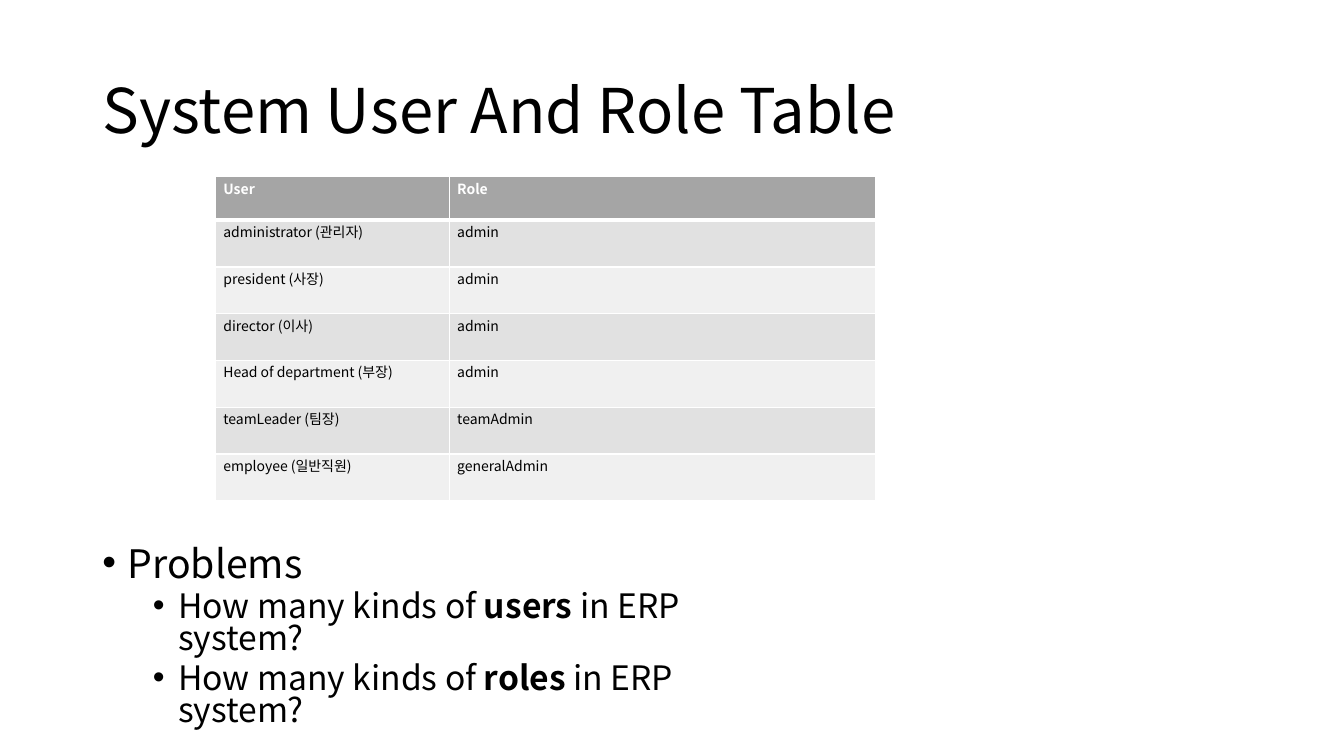
from lxml import etree
from pptx import Presentation
from pptx.dml.color import RGBColor
from pptx.enum.text import MSO_ANCHOR, MSO_AUTO_SIZE, PP_ALIGN
from pptx.oxml.ns import qn
from pptx.util import Pt

LEFT, JUSTIFY = PP_ALIGN.LEFT, PP_ALIGN.JUSTIFY
TOP, MIDDLE = MSO_ANCHOR.TOP, MSO_ANCHOR.MIDDLE
NO_FIT = MSO_AUTO_SIZE.NONE

FONT = "Noto Sans CJK KR"
COLORS = {"text": "000000", "white": "FFFFFF", "header": "A5A5A5",
          "odd": "E1E1E1", "even": "F0F0F0"}

ROLES = [
    ("User", "Role"),
    ("administrator (관리자)", "admin"),
    ("president (사장)", "admin"),
    ("director (이사)", "admin"),
    ("Head of department (부장)", "admin"),
    ("teamLeader (팀장)", "teamAdmin"),
    ("employee (일반직원)", "generalAdmin"),
]

# Each item: level, then spans of (text, bold)
PROBLEMS = [
    (0, [("Problems", False)]),
    (1, [("How many kinds of ", False), ("users", True), (" in ERP system?", False)]),
    (1, [("How many kinds of ", False), ("roles", True), (" in ERP system?", False)]),
]
# Per level: size, space before, left indent
LEVELS = [(28, 10, 18), (24, 5, 54)]


class SlideBuilder:
    def __init__(self, page):
        self.page = page

    def style(self, span, size, color="text", bold=False):
        span.font.size = Pt(size)
        span.font.bold = bold
        span.font.color.rgb = RGBColor.from_string(COLORS[color])
        span.font.name = FONT
        etree.SubElement(span.font._element, qn("a:ea"), typeface=FONT)

    def place(self, box, left, top, width, height, anchor):
        box.left, box.top, box.width, box.height = map(Pt, (left, top, width, height))
        frame = box.text_frame
        frame.word_wrap = True
        frame.auto_size = NO_FIT
        frame.vertical_anchor = anchor
        return frame

    def title(self, text, *bounds):
        frame = self.place(self.page.shapes.title, *bounds, MIDDLE)
        frame.text = text
        para = frame.paragraphs[0]
        para.alignment = LEFT
        para.line_spacing = 0.9
        self.style(para.runs[0], 44)

    def bullets(self, items, *bounds):
        frame = self.place(self.page.placeholders[1], *bounds, TOP)
        for index, (level, spans) in enumerate(items):
            para = frame.paragraphs[0] if index == 0 else frame.add_paragraph()
            size, before, indent = LEVELS[level]
            para.level = level
            para.alignment = LEFT
            para.line_spacing = 0.8
            para.space_before = Pt(before)
            props = para._p.get_or_add_pPr()
            props.set("marL", str(Pt(indent)))
            props.set("indent", str(-Pt(18)))
            etree.SubElement(props, qn("a:buFont"), typeface="Arial")
            etree.SubElement(props, qn("a:buChar"), char="•")
            for text, bold in spans:
                span = para.add_run()
                span.text = text
                self.style(span, size, bold=bold)

    def borders(self, cell, widths):
        props = cell._tc.get_or_add_tcPr()
        for index, (side, width) in enumerate(widths.items()):
            line = etree.Element(qn(f"a:ln{side}"), w=str(Pt(width)))
            fill = etree.SubElement(line, qn("a:solidFill"))
            etree.SubElement(fill, qn("a:srgbClr"), val=COLORS["white"])
            props.insert(index, line)

    def cell(self, cell, text, row):
        header = row == 0
        cell.margin_left = cell.margin_right = Pt(5.4)
        cell.margin_top = cell.margin_bottom = 0
        cell.vertical_anchor = TOP
        cell.fill.solid()
        fill = "header" if header else "odd" if row % 2 else "even"
        cell.fill.fore_color.rgb = RGBColor.from_string(COLORS[fill])
        # The rule under the header is heavier
        self.borders(cell, {"L": 1, "R": 1, "T": 3 if row == 1 else 1,
                            "B": 3 if header else 1})
        cell.text_frame.text = text
        para = cell.text_frame.paragraphs[0]
        para.alignment = JUSTIFY
        para.line_spacing = 1.07
        self.style(para.runs[0], 10, "white" if header else "text", header)

    def table(self, rows, left, top, widths, header_height, row_height):
        height = header_height + row_height * (len(rows) - 1)
        table = self.page.shapes.add_table(
            len(rows), len(widths), Pt(left), Pt(top), Pt(sum(widths)), Pt(height)).table
        for column, width in zip(table.columns, widths):
            column.width = Pt(width)
        for row, texts in enumerate(rows):
            table.rows[row].height = Pt(row_height if row else header_height)
            for column, text in enumerate(texts):
                self.cell(table.cell(row, column), text, row)


def main():
    deck = Presentation()
    deck.slide_width, deck.slide_height = Pt(960), Pt(540)
    builder = SlideBuilder(deck.slides.add_slide(deck.slide_layouts[1]))

    # Title, problem list and role table
    builder.title("System User And Role Table", 66, 28.75, 828, 104.4)
    builder.bullets(PROBLEMS, 66, 388, 515.5, 98.6)
    builder.table(ROLES, 154.2, 126.3, (167, 304.4), 31, 33.4)

    deck.save("out.pptx")


if __name__ == "__main__":
    main()
